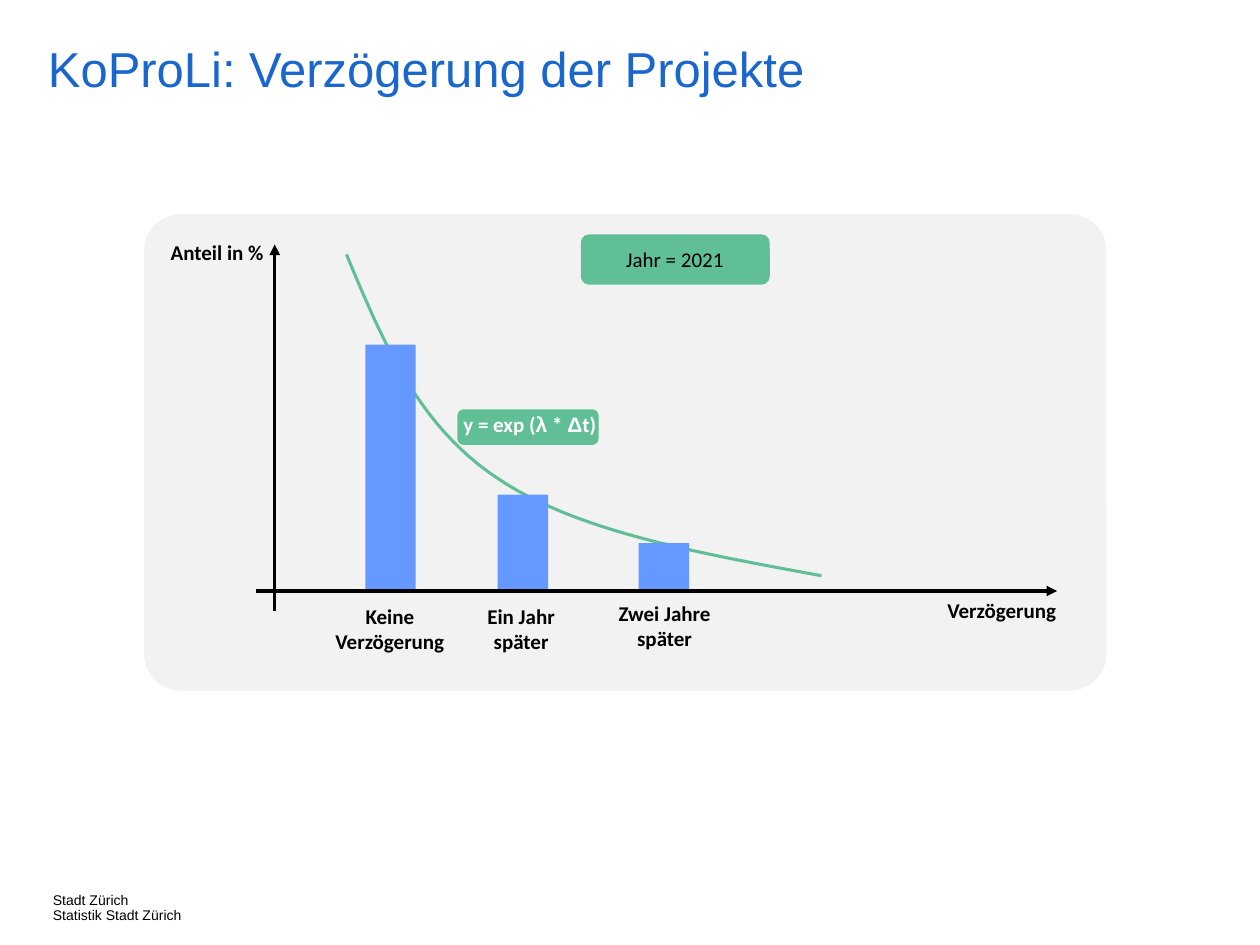
from lxml import etree
from pptx import Presentation
from pptx.dml.color import RGBColor
from pptx.enum.shapes import MSO_CONNECTOR, MSO_SHAPE
from pptx.enum.text import MSO_ANCHOR, MSO_AUTO_SIZE, PP_ALIGN
from pptx.oxml.ns import qn
from pptx.util import Pt

BLACK = RGBColor(0x00, 0x00, 0x00)
WHITE = RGBColor(0xFF, 0xFF, 0xFF)
TITLE_BLUE = RGBColor(0x19, 0x66, 0xCC)
BAR_BLUE = RGBColor(0x66, 0x99, 0xFF)
GREEN = RGBColor(0x60, 0xBF, 0x97)
PANEL_GREY = RGBColor(0xF2, 0xF2, 0xF2)

LEFT, CENTER, RIGHT = PP_ALIGN.LEFT, PP_ALIGN.CENTER, PP_ALIGN.RIGHT
RECTANGLE, ROUNDED = MSO_SHAPE.RECTANGLE, MSO_SHAPE.ROUNDED_RECTANGLE
STRAIGHT, TOP, NO_FIT = MSO_CONNECTOR.STRAIGHT, MSO_ANCHOR.TOP, MSO_AUTO_SIZE.NONE

TITLE_FONT = {"name": "Arial", "size": Pt(28), "bold": False}
FOOTER_FONT = {"name": "Arial", "size": Pt(8)}
PLAIN_FONT = {"name": "Calibri", "size": Pt(12)}
BOLD_FONT = {**PLAIN_FONT, "bold": True}
NO_MARGINS = {"margin_left": 0, "margin_right": 0, "margin_top": 0, "margin_bottom": 0}

deck = Presentation()
deck.slide_width, deck.slide_height = Pt(720), Pt(540)
page = deck.slides.add_slide(deck.slide_layouts[5])


def write_runs(para, runs, fmt, color, align):
    """Fill a paragraph with (text, font name) runs; None keeps the font of fmt."""
    para.alignment = align
    for text, font_name in runs:
        span = para.add_run()
        span.text = text
        for key, value in fmt.items():
            setattr(span.font, key, value)
        if font_name:
            span.font.name = font_name
        span.font.color.rgb = color


def add_block(kind, left, top, width, height, color):
    block = page.shapes.add_shape(kind, Pt(left), Pt(top), Pt(width), Pt(height))
    block.shadow.inherit = False
    block.fill.solid()
    block.fill.fore_color.rgb = color
    block.line.fill.background()
    return block


# Footer and title
footer = page.shapes.add_textbox(Pt(30.2), Pt(510.5), Pt(94.3), Pt(14.4))
title = page.shapes.title
title.left, title.top, title.width, title.height = Pt(27.4), Pt(25.9), Pt(604.8), Pt(46.1)
for box, lines, fmt, color, wrap in [
    (footer, ["Stadt Zürich", "Statistik Stadt Zürich"], FOOTER_FONT, BLACK, False),
    (title, ["KoProLi: Verzögerung der Projekte"], TITLE_FONT, TITLE_BLUE, True),
]:
    frame = box.text_frame
    frame_format = {**NO_MARGINS, "word_wrap": wrap, "vertical_anchor": TOP, "auto_size": NO_FIT}
    for key, value in frame_format.items():
        setattr(frame, key, value)
    for index, line in enumerate(lines):
        para = frame.add_paragraph() if index else frame.paragraphs[0]
        para.line_spacing = 0.9
        write_runs(para, [(line, None)], fmt, color, LEFT)

# Panel behind the diagram
panel = add_block(ROUNDED, 82.3, 122.4, 550, 272.2, PANEL_GREY)
panel.adjustments[0] = 0.077

# Exponential curve: two cubic Bézier pieces, sampled into short steps
CURVE = [
    [(198, 145.4), (218.2, 193.7), (238.3, 242.6), (283.7, 272.9)],
    [(283.7, 272.9), (329, 303.8), (399.6, 316.1), (469.4, 329)],
]
STEPS = 24
curve_points = []
for piece in CURVE:
    for step in range(STEPS + 1):
        t = step / STEPS
        weights = ((1 - t) ** 3, 3 * t * (1 - t) ** 2, 3 * t**2 * (1 - t), t**3)
        curve_points.append(tuple(
            Pt(sum(w * point[axis] for w, point in zip(weights, piece))) for axis in (0, 1)
        ))
builder = page.shapes.build_freeform(*curve_points[0])
builder.add_line_segments(curve_points[1:], close=False)
curve = builder.convert_to_shape()
curve.shadow.inherit = False
curve.fill.background()
curve.line.color.rgb = GREEN
curve.line.width = Pt(1.75)

# Bars standing on the horizontal axis
BASELINE = 337.7
for left, height in [(208.8, 140.7), (284.4, 55), (365, 27.4)]:
    add_block(RECTANGLE, left, BASELINE - height, 28.8, height, BAR_BLUE)

# Axes with arrowheads
for start_x, start_y, end_x, end_y in [
    (157, 349.2, 157, 139.7),
    (146.2, BASELINE, 604.1, BASELINE),
]:
    axis = page.shapes.add_connector(STRAIGHT, Pt(start_x), Pt(start_y), Pt(end_x), Pt(end_y))
    axis.line.color.rgb = BLACK
    axis.line.width = Pt(2)
    etree.SubElement(axis.line._get_or_add_ln(), qn("a:tailEnd"), type="triangle")
    etree.SubElement(axis._element.spPr, qn("a:effectLst"))

# Green badges
for badge in [(261.4, 234, 80.6, 20.2), (331.9, 133.9, 108, 28.8)]:
    add_block(ROUNDED, *badge, GREEN)

# Labels
FORMULA = [("y = exp (", None), ("λ", "Arial"), (" * ", None), ("Δ", "Arial"), ("t)", None)]
for left, top, width, height, runs, fmt, color, align in [
    (82.1, 133.2, 75.6, 21.6, [("Anteil in %", None)], BOLD_FONT, BLACK, RIGHT),
    (525.6, 337.7, 85, 21.6, [("Verzögerung", None)], BOLD_FONT, BLACK, RIGHT),
    (181.4, 341.3, 82.8, 36, [("Keine Verzögerung", None)], BOLD_FONT, BLACK, CENTER),
    (261.4, 341.3, 72.7, 36, [("Ein Jahr später", None)], BOLD_FONT, BLACK, CENTER),
    (343.4, 339.8, 72.7, 36, [("Zwei Jahre später", None)], BOLD_FONT, BLACK, CENTER),
    (252, 231.8, 101.5, 21.6, FORMULA, BOLD_FONT, WHITE, CENTER),
    (334.8, 137.5, 101.5, 21.6, [("Jahr = 2021", None)], PLAIN_FONT, BLACK, CENTER),
]:
    label = page.shapes.add_textbox(Pt(left), Pt(top), Pt(width), Pt(height))
    label.text_frame.word_wrap = True
    write_runs(label.text_frame.paragraphs[0], runs, fmt, color, align)

deck.save("out.pptx")
